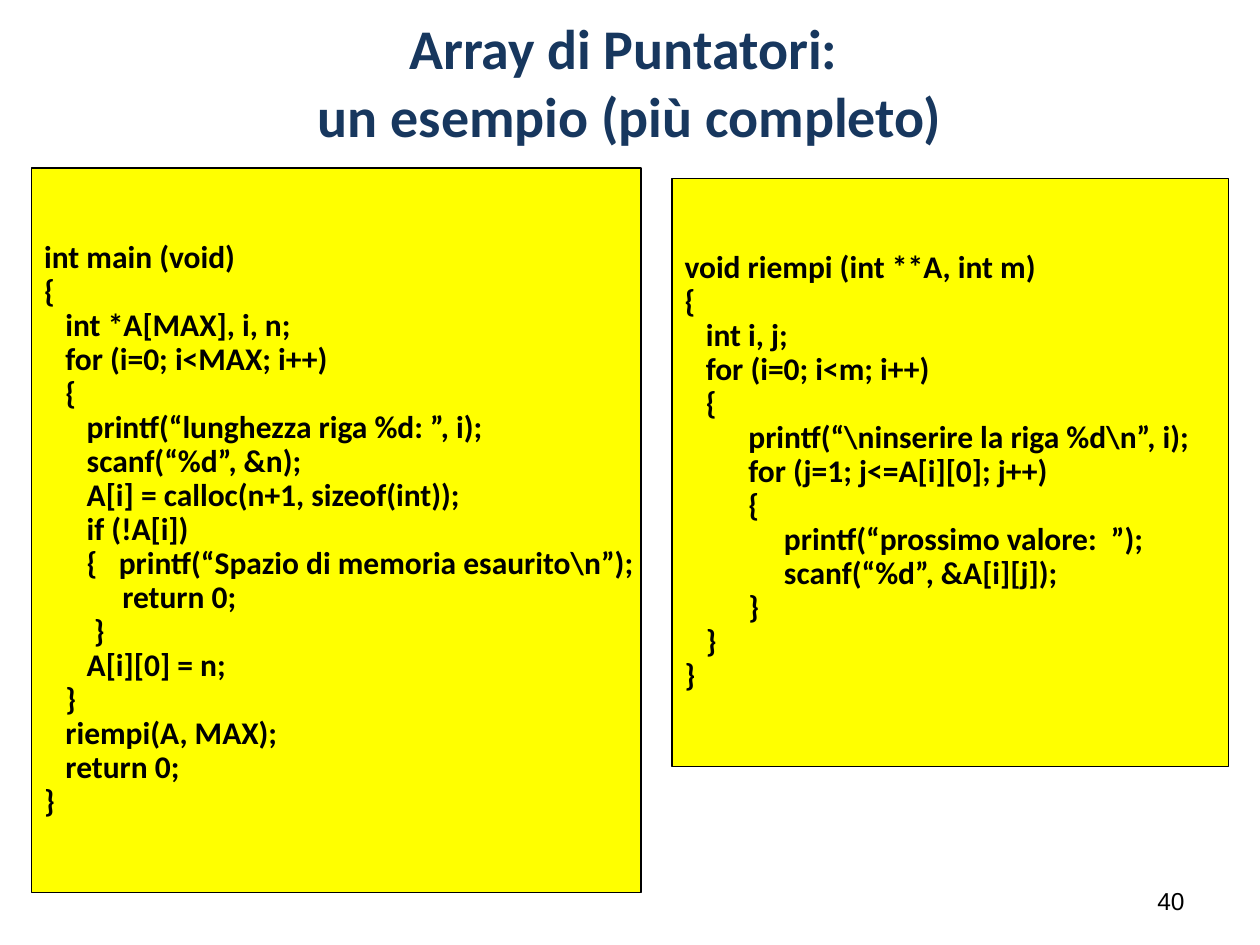
import dataclasses

import pptx
import pptx.dml.color
import pptx.enum.shapes
import pptx.enum.text
import pptx.util

Cm = pptx.util.Cm
Pt = pptx.util.Pt
RGB = pptx.dml.color.RGBColor
Align = pptx.enum.text.PP_ALIGN


@dataclasses.dataclass(frozen=True)
class Theme:
    """Colours, fonts and type sizes of the slide."""
    ink: RGB = RGB(0x00, 0x00, 0x00)
    heading: RGB = RGB(0x17, 0x37, 0x5E)
    panel: RGB = RGB(0xFF, 0xFF, 0x00)
    text_font: str = "Calibri"
    number_font: str = "Arial"
    heading_size: Pt = Pt(32)
    code_size: Pt = Pt(18)
    number_size: Pt = Pt(14)
    outline: Pt = Pt(0.75)


THEME = Theme()

MAIN_CODE = r"""int main (void)
{
   int *A[MAX], i, n;
   for (i=0; i<MAX; i++)
   {
      printf(“lunghezza riga %d: ”, i);
      scanf(“%d”, &n);
      A[i] = calloc(n+1, sizeof(int));
      if (!A[i])
      {   printf(“Spazio di memoria esaurito\n”);
           return 0;
       }
      A[i][0] = n;
   }
   riempi(A, MAX);
   return 0;
}"""

RIEMPI_CODE = r"""void riempi (int **A, int m)
{
   int i, j;
   for (i=0; i<m; i++)
   {
         printf(“\ninserire la riga %d\n”, i);
         for (j=1; j<=A[i][0]; j++)
         {
              printf(“prossimo valore:  ”);
              scanf(“%d”, &A[i][j]);
         }
   }
}"""


def write_text(frame, text, font_format, paragraph_format, wrap=True):
    """Fill a text frame and apply font and paragraph formats to each line."""
    frame.text = text
    frame.word_wrap = wrap
    frame.vertical_anchor = pptx.enum.text.MSO_ANCHOR.MIDDLE
    for line in frame.paragraphs:
        for name, value in paragraph_format.items():
            setattr(line, name, value)
        for run in line.runs:
            run.font.color.rgb = font_format["color"]
            for name in ("name", "size", "bold"):
                setattr(run.font, name, font_format[name])


def add_heading(slide, box):
    """Place the two-line slide title in the box."""
    heading = slide.shapes.add_textbox(*map(Cm, box))
    write_text(
        heading.text_frame,
        "Array di Puntatori: \vun esempio (più completo)",
        {"name": THEME.text_font, "size": THEME.heading_size,
         "bold": True, "color": THEME.heading},
        {"alignment": Align.CENTER},
    )


def add_code_panel(slide, box, code):
    """Place a filled panel with a code listing in the box."""
    panel = slide.shapes.add_shape(
        pptx.enum.shapes.MSO_SHAPE.FLOWCHART_PROCESS, *map(Cm, box))
    panel.shadow.inherit = False
    panel.fill.solid()
    panel.fill.fore_color.rgb = THEME.panel
    panel.line.color.rgb = THEME.ink
    panel.line.width = THEME.outline
    write_text(
        panel.text_frame,
        code,
        {"name": THEME.text_font, "size": THEME.code_size,
         "bold": True, "color": THEME.ink},
        {"alignment": Align.JUSTIFY, "line_spacing": 0.9},
        wrap=False,
    )


def add_page_number(slide, box):
    """Place the page number at the right of the box."""
    number = slide.shapes.add_textbox(*map(Cm, box))
    write_text(
        number.text_frame,
        "40",
        {"name": THEME.number_font, "size": THEME.number_size,
         "bold": False, "color": THEME.ink},
        {"alignment": Align.RIGHT},
    )


def main():
    """Build the slide and save it."""
    deck = pptx.Presentation()
    deck.slide_width, deck.slide_height = Cm(25.4), Cm(19.05)
    slide = deck.slides.add_slide(deck.slide_layouts[6])
    add_page_number(slide, (18.2, 17.65, 5.93, 1.02))
    add_heading(slide, (1.27, 0.43, 22.86, 2.41))
    add_code_panel(slide, (0.64, 3.39, 12.28, 14.6), MAIN_CODE)
    add_code_panel(slide, (13.55, 3.6, 11.22, 11.85), RIEMPI_CODE)
    deck.save("out.pptx")


if __name__ == "__main__":
    main()
